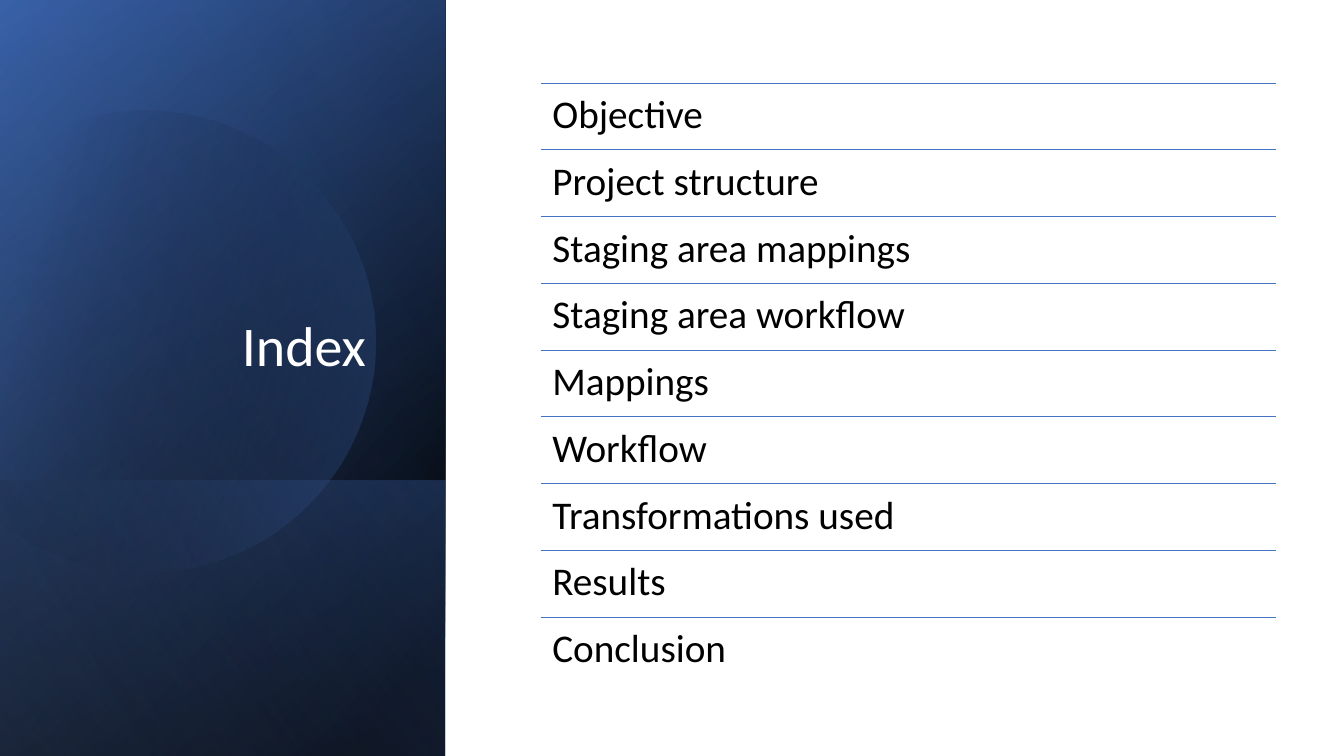
import math

import lxml.etree
import pptx
import pptx.dml.color
import pptx.enum.shapes
import pptx.enum.text
import pptx.oxml
import pptx.oxml.ns
import pptx.util

Pt = pptx.util.Pt
qn = pptx.oxml.ns.qn
COLORS = {
    "black": "000000",
    "white": "FFFFFF",
    "blue": "4472C4",
    "dark_blue": "2F5597",
    "light_blue": "8FAADC",
}
TOPICS = [
    "Objective",
    "Project structure",
    "Staging area mappings",
    "Staging area workflow",
    "Mappings",
    "Workflow",
    "Transformations used",
    "Results",
    "Conclusion",
]


class SlideBuilder:
    """Holds the style and the current slide; all lengths are in points."""

    font_name = "Calibri"

    def __init__(self, slide):
        self.slide = slide
        self.shapes = slide.shapes

    def start_group(self):
        self.shapes = self.slide.shapes.add_group_shape().shapes

    def color(self, name):
        return pptx.dml.color.RGBColor.from_string(COLORS[name])

    def fill_gradient(self, shape, stops, angle):
        """Stops are (position %, color name, opacity %)."""
        shape.shadow.inherit = False
        shape.line.fill.background()
        stop_xml = "".join(
            f'<a:gs pos="{position * 1000}"><a:srgbClr val="{COLORS[name]}">'
            f'<a:alpha val="{opacity * 1000}"/></a:srgbClr></a:gs>'
            for position, name, opacity in stops
        )
        gradient = pptx.oxml.parse_xml(
            f'<a:gradFill {pptx.oxml.ns.nsdecls("a")} rotWithShape="1">'
            f"<a:gsLst>{stop_xml}</a:gsLst>"
            f'<a:lin ang="{angle * 60000}" scaled="0"/></a:gradFill>'
        )
        properties = shape._element.spPr
        geometry = properties.find(qn("a:prstGeom"))
        if geometry is None:
            geometry = properties.find(qn("a:custGeom"))
        geometry.addnext(gradient)

    def panel(self, left, top, width, height, stops, angle):
        """Rectangle turned by 90 degrees; the box is the one seen on the slide."""
        shift = (height - width) / 2
        shape = self.shapes.add_shape(
            pptx.enum.shapes.MSO_SHAPE.RECTANGLE,
            Pt(left - shift), Pt(top + shift), Pt(height), Pt(width),
        )
        shape.rotation = 90
        shape._element.spPr.xfrm.set("flipH", "1")
        self.fill_gradient(shape, stops, angle)

    def cut_circle(self, left, top, radius, degrees, rotation, stops, angle):
        """Arcs between successive angles, closed by a straight chord."""
        angles = [math.radians(degree) for degree in degrees]
        points = [(Pt(radius * math.cos(a)), Pt(radius * math.sin(a))) for a in angles]
        builder = self.shapes.build_freeform(*points[0])
        builder.add_line_segments(points[1:], close=True)
        shape = builder.convert_to_shape()
        shape.left, shape.top = Pt(left), Pt(top)
        shape.rotation = rotation

        # Bend each segment into a cubic curve
        origin_x = min(x for x, _ in points)
        origin_y = min(y for _, y in points)
        segments = list(shape._element.iter(qn("a:lnTo")))
        for segment, start, end in zip(segments, angles, angles[1:]):
            reach = 4 / 3 * math.tan((end - start) / 4)
            curve = lxml.etree.Element(qn("a:cubicBezTo"))
            for a, pull in ((start, reach), (end, -reach), (end, 0)):
                x = Pt(radius * (math.cos(a) - pull * math.sin(a))) - origin_x
                y = Pt(radius * (math.sin(a) + pull * math.cos(a))) - origin_y
                lxml.etree.SubElement(curve, qn("a:pt"), x=str(x), y=str(y))
            segment.getparent().replace(segment, curve)
        self.fill_gradient(shape, stops, angle)

    def rule(self, left, top, width):
        line = self.shapes.add_connector(
            pptx.enum.shapes.MSO_CONNECTOR.STRAIGHT,
            Pt(left), Pt(top), Pt(left + width), Pt(top),
        )
        line.line.color.rgb = self.color("blue")
        line.line.width = Pt(0.5)
        lxml.etree.SubElement(line._element.spPr, qn("a:effectLst"))

    def text(self, left, top, width, height, words, size, color, margins,
             align="LEFT", anchor="TOP"):
        """Margins are left, top, right, bottom."""
        box = self.shapes.add_textbox(Pt(left), Pt(top), Pt(width), Pt(height))
        frame = box.text_frame
        frame.word_wrap = True
        frame.vertical_anchor = pptx.enum.text.MSO_ANCHOR[anchor]
        (frame.margin_left, frame.margin_top,
         frame.margin_right, frame.margin_bottom) = map(Pt, margins)
        paragraph = frame.paragraphs[0]
        paragraph.alignment = pptx.enum.text.PP_ALIGN[align]
        paragraph.line_spacing = 0.9
        run = paragraph.add_run()
        run.text = words
        run.font.name = self.font_name
        run.font.size = Pt(size)
        run.font.color.rgb = self.color(color)


def main():
    presentation = pptx.Presentation()
    presentation.slide_width, presentation.slide_height = Pt(960), Pt(540)
    slide = presentation.slides.add_slide(presentation.slide_layouts[6])
    builder = SlideBuilder(slide)

    # Layered gradients of the side panel
    side = (0, 0, 318, 540)
    builder.panel(*side, [(8, "black", 100), (100, "dark_blue", 100)], 50)
    builder.panel(*side, [(0, "black", 0), (99, "blue", 46)], 30)
    builder.panel(0, 343, 318, 197, [(2, "blue", 29), (100, "black", 30)], 130)
    builder.cut_circle(-39.6, 76.3, 164.7, (-118, -90, 0, 90, 150), 343.9,
                       [(29, "black", 0), (100, "blue", 43)], 30)
    builder.panel(*side, [(0, "black", 0), (99, "light_blue", 11)], 120)

    # Title, raised one line above the bottom of its box
    builder.text(23, 134, 245.5, 188.5, "Index", 40, "white",
                 (7.2, 3.6, 7.2, 51.9), align="RIGHT", anchor="BOTTOM")

    # Topics, each under a thin rule
    builder.start_group()
    left, first_top, width, step = 386.2, 59.2, 525, 47.7
    for index, topic in enumerate(TOPICS):
        top = first_top + index * step
        builder.rule(left, top, width)
        builder.text(left, top, width, step, topic, 28, "black", (8.4,) * 4)

    presentation.save("out.pptx")


if __name__ == "__main__":
    main()
